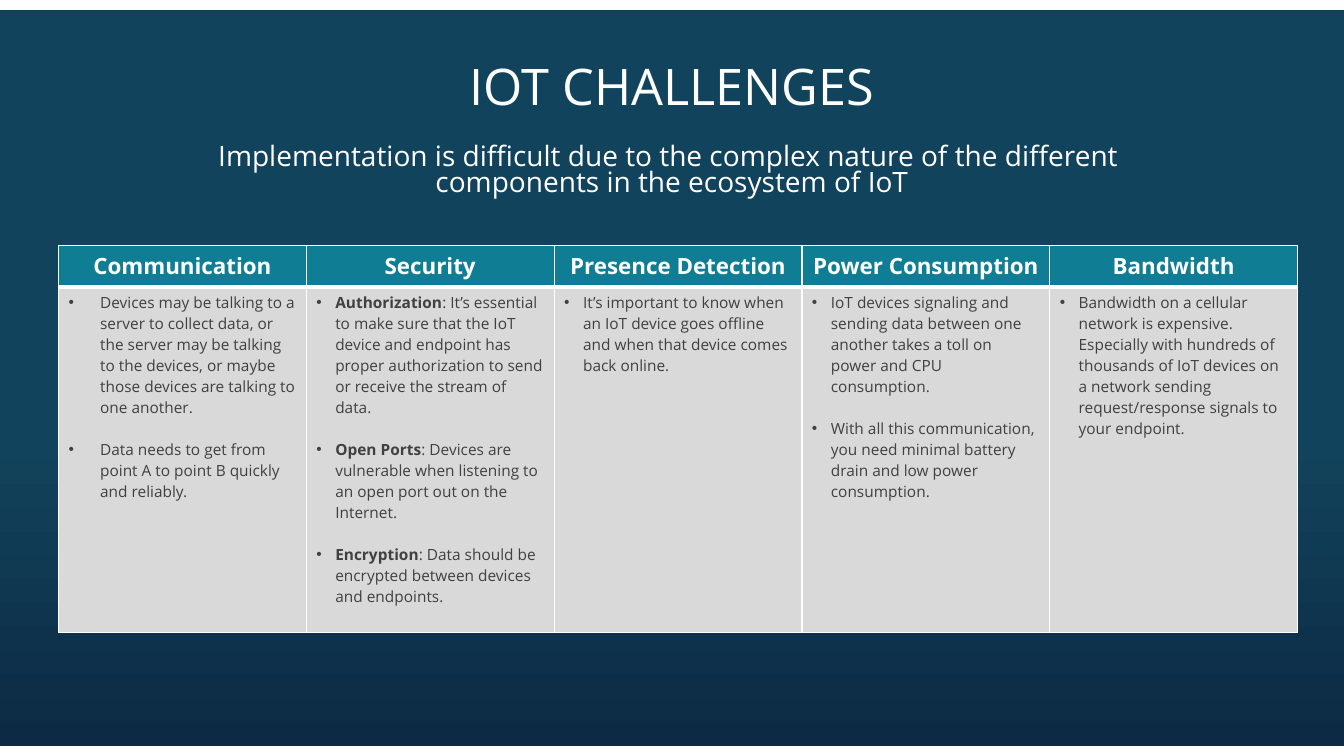
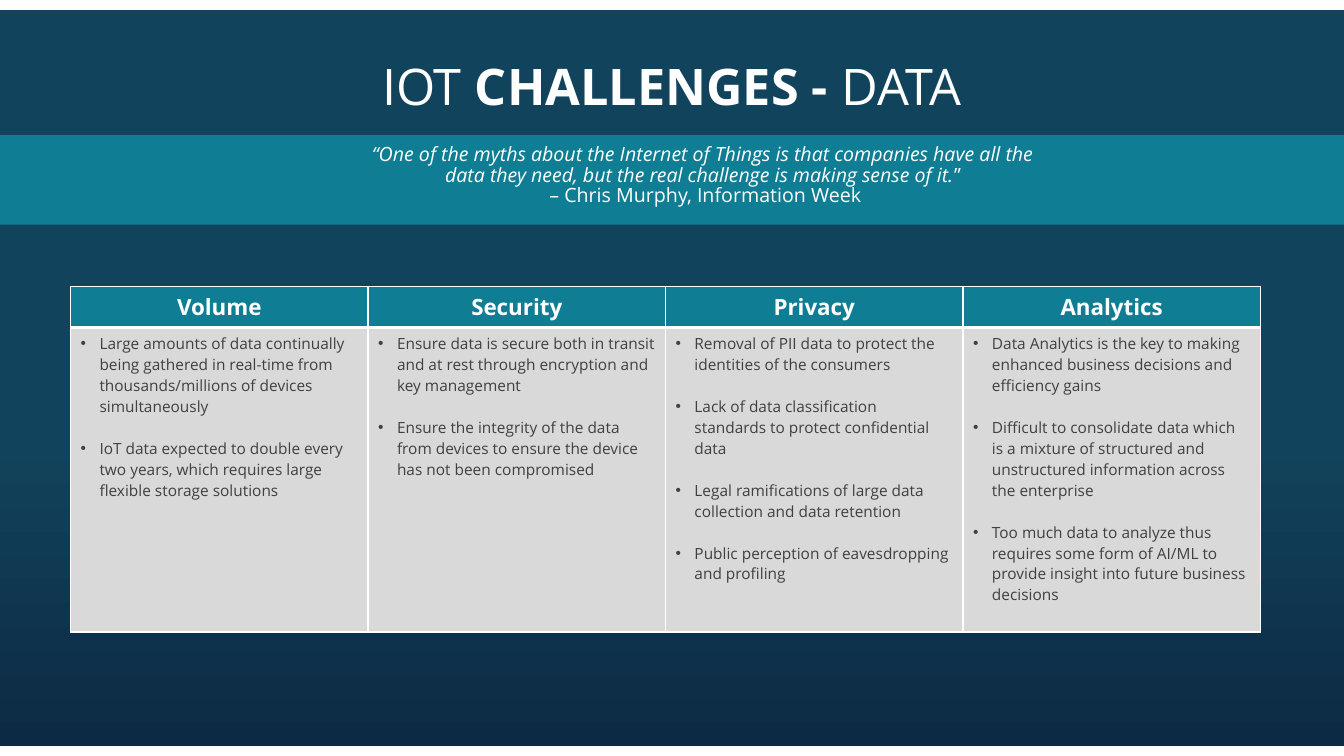
"""Build two slides on the challenges of IoT and its data."""
from lxml.etree import SubElement
from pptx import Presentation
from pptx.dml.color import RGBColor
from pptx.enum.shapes import MSO_SHAPE as SHAPE
from pptx.enum.text import MSO_ANCHOR as ANCHOR, PP_ALIGN as ALIGN
from pptx.oxml.ns import qn
from pptx.util import Pt

WHITE = RGBColor(0xFF, 0xFF, 0xFF)
NAVY = RGBColor(0x0D, 0x2A, 0x44)
BLUE = RGBColor(0x12, 0x43, 0x5C)
TEAL = RGBColor(0x0F, 0x7D, 0x94)
GREY = RGBColor(0xD9, 0xD9, 0xD9)
DARK = RGBColor(0x40, 0x40, 0x40)

WIDTH, HEIGHT = 960, 540
HEADER_HEIGHT = 29.5
BULLET_GAP = 15
TITLE_BOX = (66, 31.7, 828, 64)

TITLE = dict(size=Pt(36), color=WHITE)
SUBTITLE = dict(size=Pt(20), color=WHITE)
QUOTE = dict(size=Pt(14), color=WHITE)
HEADER = dict(size=Pt(16), color=WHITE, bold=True)
BODY = dict(size=Pt(11), color=DARK, bold=False)
BOLD = dict(bold=True)
ITALIC = dict(italic=True)

CHALLENGES = dict(
    title=[("IOT CHALLENGES", {})],
    text=dict(
        box=(66, 100, 828, 66), fmt=SUBTITLE, spacing=0.79,
        paragraphs=[[("Implementation is difficult due to the complex nature of the different \n"
                      "components in the ecosystem of IoT", {})]]),
    table=dict(
        box=(41.8, 175.5, 885), body_height=247, indents=[22.5, 13.5, 13.5, 13.5, 13.5],
        columns={
            "Communication": [
                [("Devices may be talking to a server to collect data, or the server may be "
                  "talking to the devices, or maybe those devices are talking to one another.", {})],
                [("Data needs to get from point A to point B quickly and reliably.", {})]],
            "Security": [
                [("Authorization", BOLD),
                 (": It’s essential to make sure that the IoT device and endpoint has proper "
                  "authorization to send or receive the stream of data.", {})],
                [("Open Ports", BOLD),
                 (": Devices are vulnerable when listening to an open port out on the Internet.", {})],
                [("Encryption", BOLD),
                 (": Data should be encrypted between devices and endpoints.", {})]],
            "Presence Detection": [
                [("It’s important to know when an IoT device goes offline and when that device "
                  "comes back online.", {})]],
            "Power Consumption": [
                [("IoT devices signaling and sending data between one another takes a toll on "
                  "power and CPU consumption.", {})],
                [("With all this communication, you need minimal battery drain and low power "
                  "consumption.", {})]],
            "Bandwidth": [
                [("Bandwidth on a cellular network is expensive. Especially with hundreds of "
                  "thousands of IoT devices on a network sending request/response signals to "
                  "your endpoint.", {})]],
        }))

DATA = dict(
    title=[("IOT ", {}), ("CHALLENGES - ", BOLD), ("DATA", {})],
    band=(0, 96.5, WIDTH, 64),
    text=dict(
        box=(122.4, 100, 763.2, 75), fmt=QUOTE, spacing=0.88,
        paragraphs=[
            [("“One of the myths about the Internet of Things is that companies have all the ", ITALIC)],
            [("data they need, but the real challenge is making sense of it.", ITALIC), ("” ", {})],
            [("– Chris Murphy, Information Week", {})]]),
    table=dict(
        box=(50.4, 204.5, 850), body_height=217.5, indents=[13.5] * 4,
        columns={
            "Volume": [
                [("Large amounts of data continually being gathered in real-time from "
                  "thousands/millions of devices simultaneously", {})],
                [("IoT data expected to double every two years, which requires large flexible "
                  "storage solutions", {})]],
            "Security": [
                [("Ensure data is secure both in transit and at rest through encryption and key "
                  "management", {})],
                [("Ensure the integrity of the data from devices to ensure the device has not "
                  "been compromised", {})]],
            "Privacy": [
                [("Removal of PII data to protect the identities of the consumers", {})],
                [("Lack of data classification standards to protect confidential data", {})],
                [("Legal ramifications of large data collection and data retention", {})],
                [("Public perception of eavesdropping and profiling", {})]],
            "Analytics": [
                [("Data Analytics is the key to making enhanced business decisions and "
                  "efficiency gains", {})],
                [("Difficult to consolidate data which is a mixture of structured and "
                  "unstructured information across the enterprise", {})],
                [("Too much data to analyze thus requires some form of AI/ML to provide insight "
                  "into future business decisions", {})]],
        }))


def write(p, runs, fmt):
    """Add formatted runs to a paragraph, breaking lines at newlines."""
    for text, extra in runs:
        for i, line in enumerate(text.split("\n")):
            if i:
                p.add_line_break()
            r = p.add_run()
            r.text = line
            r.font.name = "Open Sans"
            for key, value in {**fmt, **extra}.items():
                if key == "color":
                    r.font.color.rgb = value
                else:
                    setattr(r.font, key, value)


def paragraphs(tf, items):
    """Yield one paragraph of the text frame for each item."""
    for i, item in enumerate(items):
        yield i, tf.paragraphs[0] if i == 0 else tf.add_paragraph(), item


def add_rect(s, box):
    """Add a rectangle without line or shadow."""
    sp = s.shapes.add_shape(SHAPE.RECTANGLE, *map(Pt, box))
    sp.shadow.inherit = False
    sp.line.fill.background()
    return sp


def add_background(s):
    """Add the gradient panel shared by the slides."""
    fill = add_rect(s, (0, 7.2, WIDTH, 525.6)).fill
    fill.gradient()
    fill.gradient_angle = 90
    for stop, (position, color) in zip(fill.gradient_stops, [(0, NAVY), (0.42, BLUE)]):
        stop.position = position
        stop.color.rgb = color


def add_text(s, box, items, fmt, spacing, anchor=ANCHOR.TOP):
    """Add a centred text box."""
    tf = s.shapes.add_textbox(*map(Pt, box)).text_frame
    tf.word_wrap = True
    tf.vertical_anchor = anchor
    for _, p, runs in paragraphs(tf, items):
        p.alignment = ALIGN.CENTER
        p.line_spacing = spacing
        write(p, runs, fmt)


def style_cell(cell, fill, borders):
    """Set white borders by side and width, then the fill."""
    tc_pr = cell._tc.get_or_add_tcPr()
    for side, width in borders.items():
        ln = SubElement(tc_pr, qn(f"a:ln{side}"), w=str(Pt(width)))
        SubElement(SubElement(ln, qn("a:solidFill")), qn("a:srgbClr"), val=str(WHITE))
    cell.fill.solid()
    cell.fill.fore_color.rgb = fill


def add_bullet(p, indent):
    """Give a paragraph a hanging bullet."""
    p_pr = p._p.get_or_add_pPr()
    p_pr.set("marL", str(Pt(indent)))
    p_pr.set("indent", str(-Pt(indent)))
    SubElement(p_pr, qn("a:buFont"), typeface="Arial")
    SubElement(p_pr, qn("a:buChar"), char="•")


def add_columns(s, box, body_height, indents, columns):
    """Add a table with a header and a bulleted cell for each column."""
    left, top, width = box
    heights = (HEADER_HEIGHT, body_height)
    table = s.shapes.add_table(2, len(columns), *map(Pt, (left, top, width, sum(heights)))).table
    table.horz_banding = False
    for row, height in zip(table.rows, heights):
        row.height = Pt(height)
    for i, (name, bullets) in enumerate(columns.items()):
        table.columns[i].width = Pt(width / len(columns))
        head, body = table.cell(0, i), table.cell(1, i)
        style_cell(head, TEAL, dict(L=1, R=1, T=1, B=3))
        style_cell(body, GREY, dict(L=1, R=1, B=1))
        head.vertical_anchor = ANCHOR.MIDDLE
        p = head.text_frame.paragraphs[0]
        p.alignment = ALIGN.CENTER
        write(p, [(name, {})], HEADER)
        for n, p, runs in paragraphs(body.text_frame, bullets):
            add_bullet(p, indents[i])
            if n:
                p.space_before = Pt(BULLET_GAP)
            write(p, runs, BODY)


def main():
    """Build and save the presentation."""
    prs = Presentation()
    prs.slide_width, prs.slide_height = Pt(WIDTH), Pt(HEIGHT)
    for content in (CHALLENGES, DATA):
        s = prs.slides.add_slide(prs.slide_layouts[6])
        add_background(s)
        add_text(s, TITLE_BOX, [content["title"]], TITLE, 0.9, ANCHOR.MIDDLE)
        if "band" in content:
            band = add_rect(s, content["band"])
            band.fill.solid()
            band.fill.fore_color.rgb = TEAL
        text = content["text"]
        add_text(s, text["box"], text["paragraphs"], text["fmt"], text["spacing"])
        add_columns(s, **content["table"])
    prs.save("out.pptx")


if __name__ == "__main__":
    main()
